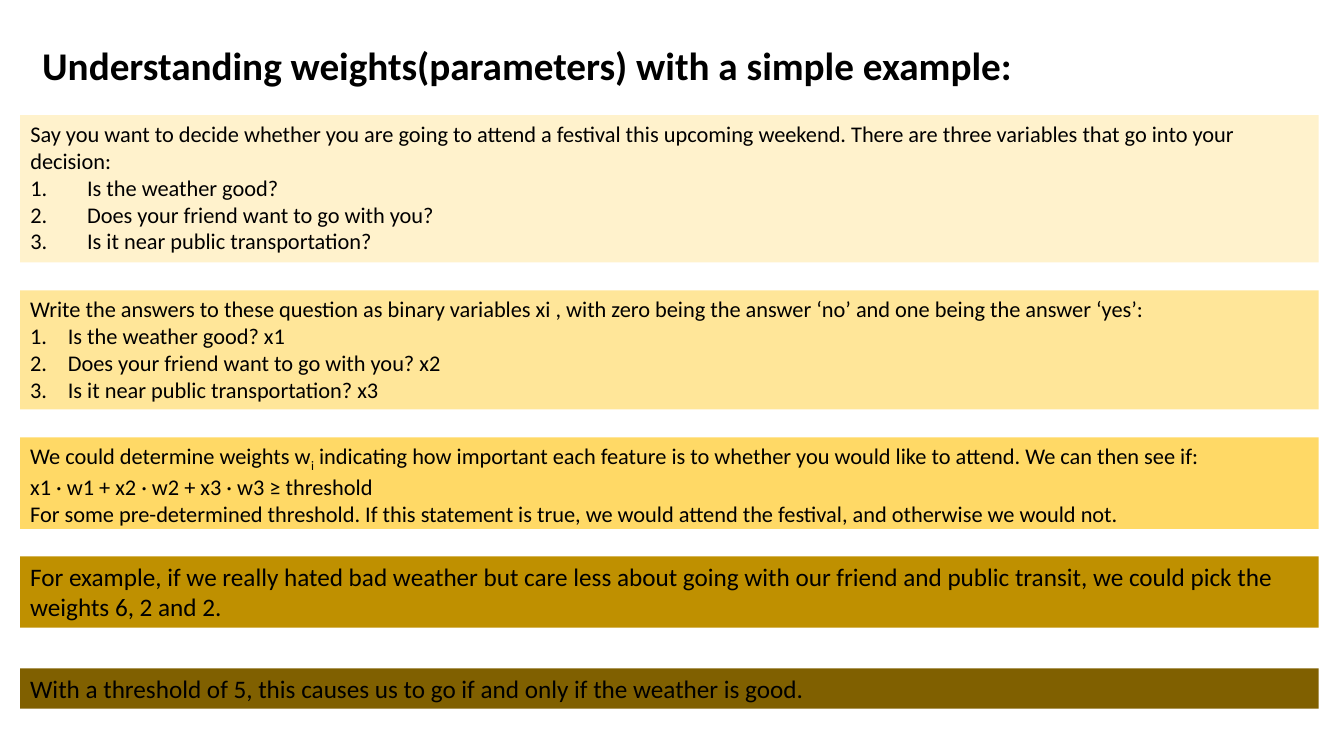
import pptx
import pptx.util
import pptx.dml.color
import pptx.enum.text
import pptx.oxml.ns
from lxml import etree

Cm = pptx.util.Cm
Pt = pptx.util.Pt
ns = pptx.oxml.ns.qn

FONT = "Calibri"
COLORS = {
    "text": "000000",
    "setup": "FFF2CC",
    "binary": "FFE699",
    "rule": "FFD966",
    "choice": "BF9000",
    "result": "806000",
}
LEFT, WIDTH = 0.51, 32.72

TITLE = "Understanding weights(parameters) with a simple example:"
ASKS = [
    "Is the weather good?",
    "Does your friend want to go with you?",
    "Is it near public transportation?",
]
INTRO = ("Say you want to decide whether you are going to attend a festival this "
         "upcoming weekend. There are three variables that go into your decision:")
BINARY = ("Write the answers to these question as binary variables xi , with zero "
          "being the answer ‘no’ and one being the answer ‘yes’:")
WEIGHTS = [
    ("We could determine weights w", False),
    ("i", True),
    (" indicating how important each feature is to whether you would like to "
     "attend. We can then see if:", False),
]
SUM = "x1 · w1 + x2 · w2 + x3 · w3 ≥ threshold"
VERDICT = ("For some pre-determined threshold. If this statement is true, we would "
           "attend the festival, and otherwise we would not.")
CHOICE = ("For example, if we really hated bad weather but care less about going with "
          "our friend and public transit, we could pick the weights 6, 2 and 2.")
RESULT = "With a threshold of 5, this causes us to go if and only if the weather is good."


def color(name):
    return pptx.dml.color.RGBColor.from_string(COLORS[name])


def place(shape, left, top, width, height):
    shape.left, shape.top = Cm(left), Cm(top)
    shape.width, shape.height = Cm(width), Cm(height)


def add_run(para, text, size, bold=False, sub=False):
    run = para.add_run()
    run.text = text
    font = run.font
    font.name, font.size, font.bold = FONT, Pt(size), bold
    font.color.rgb = color("text")
    if sub:
        font._element.set("baseline", "-25000")


def set_list(para, indent):
    """Number the paragraph with a hanging indent, or clear its bullet."""
    props = para._p.get_or_add_pPr()
    props.set("marL", str(Cm(indent)))
    props.set("indent", str(-Cm(indent)))
    if indent:
        etree.SubElement(props, ns("a:buFont"), typeface="+mj-lt")
        etree.SubElement(props, ns("a:buAutoNum"), type="arabicPeriod")
    else:
        etree.SubElement(props, ns("a:buNone"))


def fill_band(shape, top, height, fill, size, lines, indent=0):
    """Fill a band; lines after the first are numbered if indent is given."""
    place(shape, LEFT, top, WIDTH, height)
    shape.fill.solid()
    shape.fill.fore_color.rgb = color(fill)
    frame = shape.text_frame
    frame.word_wrap = True
    frame.auto_size = pptx.enum.text.MSO_AUTO_SIZE.NONE
    for row, line in enumerate(lines):
        para = frame.add_paragraph() if row else frame.paragraphs[0]
        para.space_before = Pt(0)
        para.line_spacing = 1.0
        set_list(para, indent if row else 0)
        parts = [(line, False)] if isinstance(line, str) else line
        for text, sub in parts:
            add_run(para, text, size, sub=sub)


def add_band(slide, *args):
    box = slide.shapes.add_textbox(0, 0, Cm(WIDTH), Cm(1))
    fill_band(box, *args)


def set_title(shape):
    place(shape, 0.81, 1.02, 30.71, 1.37)
    frame = shape.text_frame
    frame.word_wrap = True
    frame.auto_size = pptx.enum.text.MSO_AUTO_SIZE.NONE
    frame.vertical_anchor = pptx.enum.text.MSO_ANCHOR.MIDDLE
    para = frame.paragraphs[0]
    para.alignment = pptx.enum.text.PP_ALIGN.LEFT
    para.line_spacing = 0.9
    add_run(para, TITLE, 28, bold=True)


def main():
    deck = pptx.Presentation()
    deck.slide_width, deck.slide_height = Cm(33.87), Cm(19.05)
    slide = deck.slides.add_slide(deck.slide_layouts[1])

    # Title and the questions
    set_title(slide.shapes.title)
    fill_band(slide.placeholders[1], 2.9, 3.71, "setup", 16, [INTRO] + ASKS, 1.43)

    # Variables, rule, weights and outcome
    marked = [f"{ask} x{num}" for num, ask in enumerate(ASKS, 1)]
    add_band(slide, 7.32, 3, "binary", 16, [BINARY] + marked, 0.95)
    add_band(slide, 11.02, 2.31, "rule", 16, [WEIGHTS, SUM, VERDICT])
    add_band(slide, 14.02, 1.8, "choice", 18, [CHOICE])
    add_band(slide, 16.84, 1.02, "result", 18, [RESULT])

    deck.save("out.pptx")


main()
